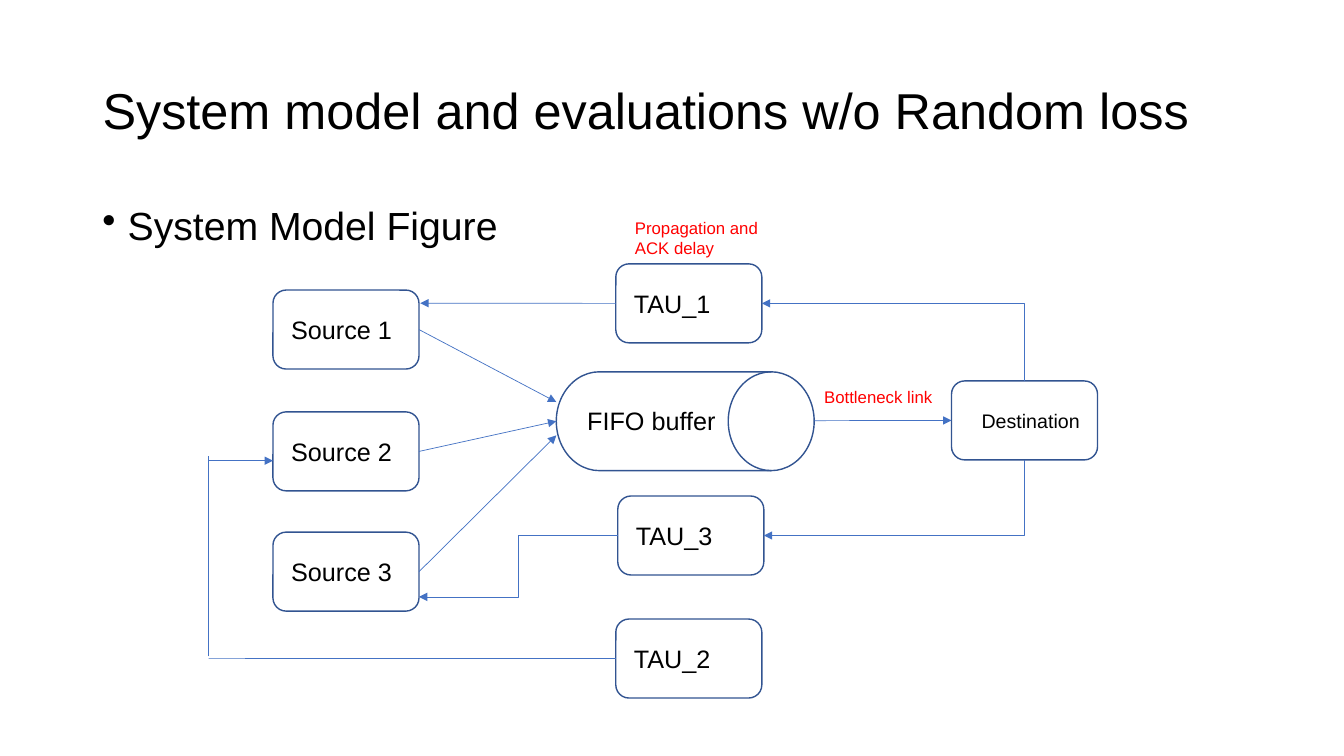
"""Build the system model slide: sources, FIFO buffer, destination and delayed feedback."""
from dataclasses import dataclass
from typing import Optional

from lxml import etree
from pptx import Presentation
from pptx.dml.color import RGBColor
from pptx.enum.shapes import MSO_CONNECTOR, MSO_SHAPE
from pptx.enum.text import MSO_ANCHOR, MSO_AUTO_SIZE, PP_ALIGN
from pptx.oxml.ns import qn
from pptx.util import Cm, Pt

ROUNDED = MSO_SHAPE.ROUNDED_RECTANGLE
DRUM = MSO_SHAPE.FLOWCHART_MAGNETIC_DISK.FLOWCHART_DIRECT_ACCESS_STORAGE
STRAIGHT, ELBOW = MSO_CONNECTOR.STRAIGHT, MSO_CONNECTOR.ELBOW
LEFT, MIDDLE, TOP = PP_ALIGN.LEFT, MSO_ANCHOR.MIDDLE, MSO_ANCHOR.TOP
NO_AUTOFIT = MSO_AUTO_SIZE.NONE
TOP_SIDE, LEFT_SIDE, BOTTOM_SIDE, RIGHT_SIDE = range(4)


@dataclass(frozen=True)
class Theme:
    font: str = "Arial"
    text: RGBColor = RGBColor(0, 0, 0)
    note: RGBColor = RGBColor(0xFF, 0, 0)
    outline: RGBColor = RGBColor(0x32, 0x54, 0x91)
    link: RGBColor = RGBColor(0x44, 0x72, 0xC4)
    title_size: int = 36
    body_size: int = 28
    label_size: int = 18
    small_size: int = 14
    note_size: int = 12


@dataclass(frozen=True)
class Node:
    name: str
    x: float
    y: float
    w: float = 3.68
    h: float = 1.99
    text: str = ""
    inset: float = 0.36
    size: int = Theme.label_size
    kind: int = ROUNDED


@dataclass(frozen=True)
class Label:
    text: str
    x: float
    y: float
    w: float
    h: float
    size: int
    color: RGBColor


@dataclass(frozen=True)
class End:
    x: float = 0
    y: float = 0
    node: str = ""
    side: int = LEFT_SIDE


@dataclass(frozen=True)
class Link:
    begin: End
    end: End
    arrow: Optional[str] = "tailEnd"
    kind: int = STRAIGHT
    corner: bool = False


THEME = Theme()
SOURCE_X, DRUM_X, TAU_X, DEST_X = 6.88, 14.13 - 0.11, 15.52, 23.98
FEEDBACK_X, FEEDBACK_Y = 5.26, 11.61

NODES = [
    Node("s1", SOURCE_X, 7.31, text="Source 1"),
    Node("s2", SOURCE_X, 10.38, text="Source 2"),
    Node("s3", SOURCE_X, 13.41, text="Source 3"),
    Node("buffer", DRUM_X, 9.37, 6.5, 2.49, kind=DRUM),
    Node("dest", DEST_X, 9.6, text="Destination", inset=0.66, size=THEME.small_size),
    Node("tau1", TAU_X, 6.65, text="TAU_1"),
    Node("tau3", 15.57, 12.5, text="TAU_3"),
    Node("tau2", TAU_X, 15.6, text="TAU_2"),
]
LABELS = [
    Label("FIFO buffer", 14.55, 10.08, 3.89, 1.02, THEME.label_size, THEME.text),
    Label("Bottleneck link", 20.52, 9.63, 3.25, 0.76, THEME.note_size, THEME.note),
    Label("Propagation and ACK delay", 15.75, 5.36, 3.68, 1.27, THEME.note_size, THEME.note),
]
LINKS = [
    Link(End(node="s1", side=RIGHT_SIDE), End(DRUM_X, 10.13)),
    Link(End(node="s2", side=RIGHT_SIDE), End(node="buffer")),
    Link(End(node="s3", side=RIGHT_SIDE), End(DRUM_X, 10.97)),
    Link(End(20.52, 10.6), End(node="dest")),
    Link(End(node="tau1", side=RIGHT_SIDE), End(node="dest", side=TOP_SIDE),
         "headEnd", ELBOW, corner=True),
    Link(End(node="tau3", side=RIGHT_SIDE), End(node="dest", side=BOTTOM_SIDE),
         "headEnd", ELBOW, corner=True),
    Link(End(node="tau1"), End(10.59, 7.64)),
    Link(End(node="tau3"), End(10.56, 15.04), kind=ELBOW),
    Link(End(node="tau2"), End(FEEDBACK_X, 16.59), arrow=None),
    Link(End(FEEDBACK_X, 16.54), End(FEEDBACK_X, 11.48), arrow=None),
    Link(End(FEEDBACK_X, FEEDBACK_Y), End(SOURCE_X, FEEDBACK_Y)),
]


def set_text(tf, text: str, size: int, color: RGBColor, anchor=TOP):
    tf.word_wrap = True
    tf.auto_size = NO_AUTOFIT
    tf.vertical_anchor = anchor
    p = tf.paragraphs[0]
    p.text = text
    p.alignment = LEFT
    p.font.name = THEME.font
    p.font.size = Pt(size)
    p.font.color.rgb = color
    return p


def add_label(s, label: Label):
    sp = s.shapes.add_textbox(Cm(label.x), Cm(label.y), Cm(label.w), Cm(label.h))
    return set_text(sp.text_frame, label.text, label.size, label.color)


def add_title(s, text: str) -> None:
    sp = s.shapes.title
    sp.left, sp.top, sp.width, sp.height = Cm(2.33), Cm(1.01), Cm(29.21), Cm(3.68)
    p = set_text(sp.text_frame, text, THEME.title_size, THEME.text, MIDDLE)
    p.line_spacing = 0.9


def add_bullet(s, text: str) -> None:
    p = add_label(s, Label(text, 2.33, 5.07, 29.21, 12.09, THEME.body_size, THEME.text))
    p.line_spacing = 0.9
    p.space_before = Pt(10)
    props = p._p.get_or_add_pPr()
    props.set("marL", str(Cm(0.64)))
    props.set("indent", str(Cm(-0.64)))
    mark = etree.Element(qn("a:buChar"), char="•")
    props.find(qn("a:defRPr")).addprevious(mark)


def add_node(s, node: Node):
    sp = s.shapes.add_shape(node.kind, Cm(node.x), Cm(node.y), Cm(node.w), Cm(node.h))
    sp.shadow.inherit = False
    sp.fill.background()
    sp.line.color.rgb = THEME.outline
    sp.line.width = Pt(1)
    if node.text:
        tf = sp.text_frame
        set_text(tf, node.text, node.size, THEME.text, MIDDLE)
        tf.margin_left, tf.margin_right = Cm(node.inset), 0
    return sp


def add_link(s, link: Link, shapes: dict) -> None:
    begin, end = link.begin, link.end
    c = s.shapes.add_connector(link.kind, Cm(begin.x), Cm(begin.y), Cm(end.x), Cm(end.y))
    if begin.node:
        c.begin_connect(shapes[begin.node], begin.side)
    if end.node:
        c.end_connect(shapes[end.node], end.side)
    c.line.color.rgb = THEME.link
    c.line.width = Pt(0.5)
    props = c._element.spPr
    if link.corner:
        props.find(qn("a:prstGeom")).set("prst", "bentConnector2")
    if link.arrow:
        etree.SubElement(props.find(qn("a:ln")), qn(f"a:{link.arrow}"), type="triangle")
    etree.SubElement(props, qn("a:effectLst"))


def main() -> None:
    prs = Presentation()
    prs.slide_width, prs.slide_height = Cm(33.87), Cm(19.05)
    s = prs.slides.add_slide(prs.slide_layouts[5])
    add_title(s, "System model and evaluations w/o Random loss")
    add_bullet(s, "System Model Figure")
    shapes = {node.name: add_node(s, node) for node in NODES}
    for label in LABELS:
        add_label(s, label)
    for link in LINKS:
        add_link(s, link, shapes)
    prs.save("out.pptx")


if __name__ == "__main__":
    main()
